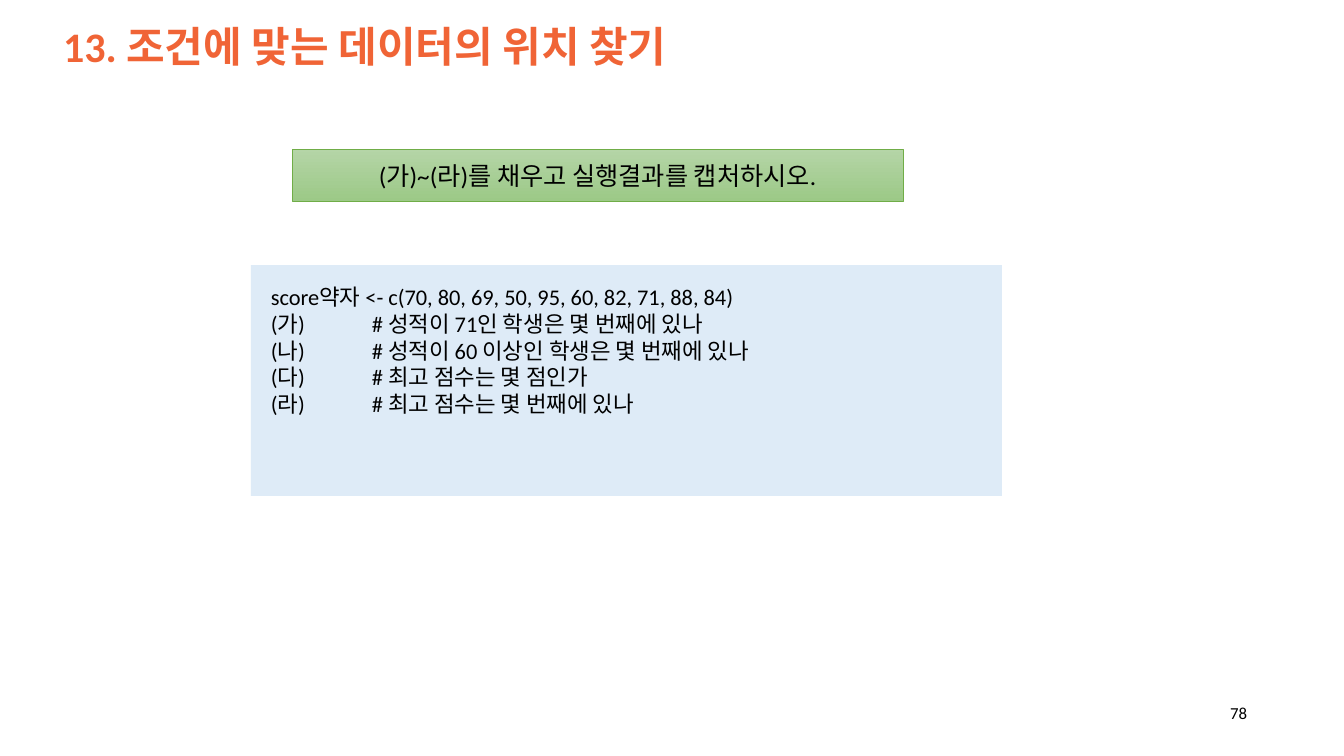
from pptx import Presentation
from pptx.dml.color import RGBColor
from pptx.enum.shapes import MSO_SHAPE
from pptx.enum.text import MSO_ANCHOR, MSO_AUTO_SIZE, PP_ALIGN
from pptx.oxml.ns import qn
from pptx.util import Pt
from lxml import etree

PX = 914400 / 100.8
THEME = {
    "font": "Calibri",
    "accent": RGBColor.from_string("F06436"),
    "ink": RGBColor.from_string("000000"),
    "task_top": RGBColor.from_string("B5D5A7"),
    "task_bottom": RGBColor.from_string("9CC987"),
    "task_edge": RGBColor.from_string("70AD47"),
    "panel": RGBColor.from_string("DEEBF7"),
    "title_size": 30,
    "task_size": 18,
    "code_size": 16,
    "number_size": 12,
}


def px(*lengths):
    """Turn pixel lengths into EMU."""
    return [round(length * PX) for length in lengths]


def write(holder, lines, size, color="ink", align=PP_ALIGN.LEFT,
          anchor=MSO_ANCHOR.MIDDLE, bold=False, spacing=1.0, tab=None):
    """Fill a shape with one paragraph per line, with an optional tab stop in px."""
    frame = holder.text_frame
    frame.text = "\n".join(lines)
    frame_format = {"word_wrap": True, "auto_size": MSO_AUTO_SIZE.NONE,
                    "vertical_anchor": anchor}
    for name, value in frame_format.items():
        setattr(frame, name, value)
    font_format = {"name": THEME["font"], "size": Pt(THEME[size]), "bold": bold}
    for paragraph in frame.paragraphs:
        paragraph.alignment = align
        paragraph.line_spacing = spacing
        if tab:
            stops = etree.SubElement(paragraph._p.get_or_add_pPr(), qn("a:tabLst"))
            etree.SubElement(stops, qn("a:tab"), pos=str(px(tab)[0]), algn="l")
        for run in paragraph.runs:
            for name, value in font_format.items():
                setattr(run.font, name, value)
            run.font.color.rgb = THEME[color]


prs = Presentation()
prs.slide_width, prs.slide_height = px(1344, 756)
slide = prs.slides.add_slide(prs.slide_layouts[5])
shapes = slide.shapes

# Title
title = shapes.title
title.left, title.top, title.width, title.height = px(53, 12, 1244, 74)
write(title, ["13. 조건에 맞는 데이터의 위치 찾기"], "title_size", "accent",
      bold=True, spacing=0.9)

# Page number
page_number = shapes.add_textbox(*px(1213, 693, 44, 40))
write(page_number, ["78"], "number_size", align=PP_ALIGN.RIGHT)

# Task banner
task = shapes.add_shape(MSO_SHAPE.RECTANGLE, *px(292, 149, 611, 52))
task.shadow.inherit = False
task.fill.gradient()
task.fill.gradient_angle = 270
for stop, shade, position in zip(task.fill.gradient_stops, ("task_top", "task_bottom"), (0, 1)):
    stop.color.rgb = THEME[shade]
    stop.position = position
task.line.color.rgb = THEME["task_edge"]
task.line.width = Pt(0.5)
write(task, ["(가)~(라)를 채우고 실행결과를 캡처하시오."], "task_size", align=PP_ALIGN.CENTER)

# Code panel
panel = shapes.add_shape(MSO_SHAPE.RECTANGLE, *px(251, 265, 751, 231))
panel.shadow.inherit = False
panel.fill.solid()
panel.fill.fore_color.rgb = THEME["panel"]
panel.line.fill.background()

questions = {
    "가": "성적이 71인 학생은 몇 번째에 있나",
    "나": "성적이 60 이상인 학생은 몇 번째에 있나",
    "다": "최고 점수는 몇 점인가",
    "라": "최고 점수는 몇 번째에 있나",
}
code_lines = ["score약자 <- c(70, 80, 69, 50, 95, 60, 82, 71, 88, 84)"]
code_lines += [f"({blank})\t# {question}" for blank, question in questions.items()]
code = shapes.add_textbox(*px(261, 278, 741, 146))
write(code, code_lines, "code_size", anchor=MSO_ANCHOR.TOP, tab=101)

prs.save("out.pptx")
